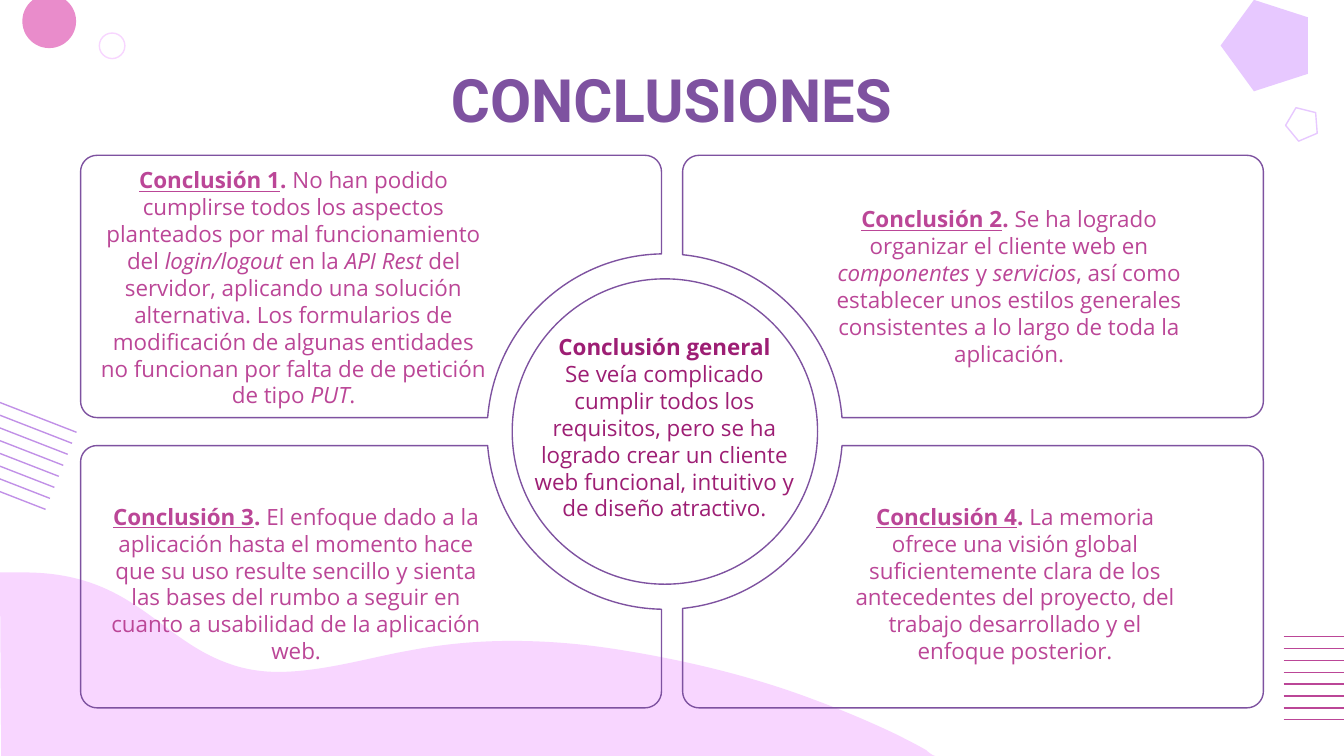
"""Builds the conclusions slide: four panels around a central circle."""
import math

import lxml.etree
import pptx
import pptx.dml.color
import pptx.enum.shapes
import pptx.enum.text
import pptx.oxml.ns
import pptx.util

Pt = pptx.util.Pt
qn = pptx.oxml.ns.qn
RGB = pptx.dml.color.RGBColor.from_string
SHAPE = pptx.enum.shapes.MSO_SHAPE
CENTER = pptx.enum.text.PP_ALIGN.CENTER
COLORS = {
    "purple": "7E52A0", "magenta": "9D1E74", "rose": "BB4697", "pink": "E98CCB",
    "blush": "F8D6FF", "lilac": "E7C8FF", "violet": "C190E7",
}


def arc(cx, cy, radius, start, end):
    a, b = math.radians(start), math.radians(end)
    k = 4 / 3 * math.tan((b - a) / 4)
    turns = [(math.cos(a), math.sin(a)),
             (math.cos(a) - k * math.sin(a), math.sin(a) + k * math.cos(a)),
             (math.cos(b) + k * math.sin(b), math.sin(b) - k * math.cos(b)),
             (math.cos(b), math.sin(b))]
    points = [(cx + radius * x, cy + radius * y) for x, y in turns]
    return [points[:1], points[1:]]


def paint(sp, fill=None, line=None):
    sp.shadow.inherit = False
    if fill:
        sp.fill.solid()
        sp.fill.fore_color.rgb = RGB(COLORS[fill])
    else:
        sp.fill.background()
    if line:
        sp.line.color.rgb = RGB(COLORS[line])
        sp.line.width = Pt(0.75)
    else:
        sp.line.fill.background()


prs = pptx.Presentation()
prs.slide_width, prs.slide_height = Pt(720), Pt(405)
s = prs.slides.add_slide(prs.slide_layouts[5])

wave = [
    [(13, 306.7)],
    [(71.3, 306.7), (85, 342.7), (123.1, 355.7)],
    [(131, 358.6), (140.4, 360), (149, 360)],
    [(172.8, 360), (198.7, 352.1), (219.6, 348.5)],
    [(238.3, 344.9), (256.3, 343.4), (274.3, 343.4)],
    [(293, 343.4), (311, 344.9), (329.8, 347.8)],
    [(366.5, 353.5), (402.5, 362.2), (434.9, 374.4)],
    [(450.7, 380.2), (465.8, 386.6), (479.5, 393.1)],
    [(485.3, 396), (491, 398.9), (496.1, 401.8)],
    [(496.8, 402.5), (499.7, 405), (501, 405)],
    [(0.7, 405)],
    [(0, 306.7)],
]

cx, cy, ring, corner = 356.2, 231.2, 95.2, 8.8
top_edge, bottom_edge = 7.5, 148
panels = []
for sx, inner, outer in ((-1, 1.8, 313), (1, 9.5, 320.6)):
    for sy in (-1, 1):
        outline = arc(0, 0, ring, math.degrees(math.acos(inner / ring)),
                      math.degrees(math.asin(top_edge / ring)))
        outline += arc(outer - corner, top_edge + corner, corner, -90, 0)
        outline += arc(outer - corner, bottom_edge - corner, corner, 0, 90)
        outline += arc(inner + corner, bottom_edge - corner, corner, 90, 180)
        panels.append([[(cx + sx * u, cy + sy * v) for u, v in step] for step in outline])
circle = [[(cx + 81.8, cy)]]
for angle in (0, 90, 180, 270):
    circle += arc(cx, cy, 81.8, angle, angle + 90)[1:]

backdrop = [([wave], s.shapes, "blush", None)]
decorations = [
    (SHAPE.REGULAR_PENTAGON, 652.8, 1, 49, 46.8, 270, "lilac", None),
    (SHAPE.REGULAR_PENTAGON, 688, 58.2, 18, 16.6, 265.5, None, "lilac"),
    (SHAPE.OVAL, 12, -3, 28.8, 28.8, 0, "pink", None),
    (SHAPE.OVAL, 53.2, 17.7, 13.7, 13.7, 0, None, "blush"),
]
stripes = [
    (-31, 203.6, 72, 28, -2.37, 5.9, "violet"),
    (687.6, 341.1, 51.8, 0, 0, 6.36, "rose"),
]
for outlines, fill, line in (([wave], "blush", None), (panels + [circle], None, "purple")):
    shapes = s.shapes if fill else s.shapes.add_group_shape().shapes
    for outline in outlines:
        points = [(Pt(x), Pt(y)) for step in outline for x, y in step]
        builder = shapes.build_freeform(*points[0], scale=1.0)
        builder.add_line_segments(points[1:], close=True)
        sp = builder.convert_to_shape()
        paint(sp, fill, line)
        path = sp._element.find(".//" + qn("a:path"))
        segments = iter(path.findall(qn("a:lnTo")))
        for step in outline[1:]:
            used = [next(segments) for point in step]
            if len(used) == 3:
                curve = lxml.etree.Element(qn("a:cubicBezTo"))
                path.replace(used[0], curve)
                for segment in used:
                    curve.append(segment[0])
                for segment in used[1:]:
                    path.remove(segment)
    if fill:
        for kind, x, y, w, h, turn, inside, edge in decorations:
            sp = s.shapes.add_shape(kind, Pt(x), Pt(y), Pt(w), Pt(h))
            sp.rotation = turn
            paint(sp, inside, edge)
        for x, y, w, h, dx, dy, color in stripes:
            group = s.shapes.add_group_shape()
            for i in range(8):
                left, top = x + i * dx, y + i * dy
                c = group.shapes.add_connector(
                    pptx.enum.shapes.MSO_CONNECTOR.STRAIGHT,
                    Pt(left), Pt(top), Pt(left + w), Pt(top + h))
                c.line.color.rgb = RGB(COLORS[color])
                c.line.width = Pt(0.75)
                lxml.etree.SubElement(c._element.spPr, qn("a:effectLst"))

title = s.shapes.title
title.left, title.top, title.width, title.height = Pt(200.2), Pt(26.2), Pt(319), Pt(49.7)
tf = title.text_frame
tf.margin_left = tf.margin_right = tf.margin_top = tf.margin_bottom = Pt(7.2)
tf.vertical_anchor = pptx.enum.text.MSO_ANCHOR.TOP
p = tf.paragraphs[0]
p.alignment = CENTER
r = p.add_run()
r.text = "CONCLUSIONES"
r.font.name, r.font.size, r.font.bold = "Roboto", Pt(32), True
r.font.color.rgb = RGB(COLORS["purple"])

texts = [
    (279, 175, 154, 108.7, "magenta", [
        [("Conclusión general", "b")],
        [("Se veía complicado cumplir todos los requisitos, pero se ha logrado crear un "
          "cliente web funcional, intuitivo y de diseño atractivo.", "")]]),
    (45, 85.7, 224.6, 138.2, "rose", [
        [("Conclusión 1", "bu"), (". ", "b"),
         ("No han podido cumplirse todos los aspectos planteados por mal "
          "funcionamiento del ", ""),
         ("login/logout ", "i"), ("en la ", ""), ("API Rest ", "i"),
         ("del servidor, aplicando una solución alternativa. Los formularios de "
          "modificación de algunas entidades no funcionan por falta de de petición "
          "de tipo ", ""),
         ("PUT", "i"), (".", "")]]),
    (433, 106.4, 215.3, 94.3, "rose", [
        [("Conclusión 2", "bu"), (".", "b"),
         (" Se ha logrado organizar el cliente web en ", ""),
         ("componentes", "i"), (" y ", ""), ("servicios", "i"),
         (", así como establecer unos estilos generales consistentes a lo largo de "
          "toda la aplicación.", "")]]),
    (51.8, 265.9, 213.8, 94.3, "rose", [
        [("Conclusión 3", "bu"), (".", "b"),
         (" El enfoque dado a la aplicación hasta el momento hace que su uso resulte "
          "sencillo y sienta las bases del rumbo a seguir en cuanto a usabilidad de "
          "la aplicación web.", "")]]),
    (444.2, 265.9, 199.4, 94.3, "rose", [
        [("Conclusión 4", "bu"), (". ", "b"),
         ("La memoria ofrece una visión global suficientemente clara de los "
          "antecedentes del proyecto, del trabajo desarrollado y el enfoque "
          "posterior.", "")]]),
]
for x, y, w, h, color, paragraphs in texts:
    tf = s.shapes.add_textbox(Pt(x), Pt(y), Pt(w), Pt(h)).text_frame
    tf.word_wrap = True
    tf.auto_size = pptx.enum.text.MSO_AUTO_SIZE.SHAPE_TO_FIT_TEXT
    for i, runs in enumerate(paragraphs):
        p = tf.add_paragraph() if i else tf.paragraphs[0]
        p.alignment = CENTER
        p.line_spacing = Pt(14.4)
        for text, style in runs:
            r = p.add_run()
            r.text = text
            r.font.name, r.font.size = "Open Sans", Pt(12)
            r.font.color.rgb = RGB(COLORS[color])
            r.font.bold, r.font.italic = "b" in style, "i" in style
            r.font.underline = "u" in style

prs.save("out.pptx")
